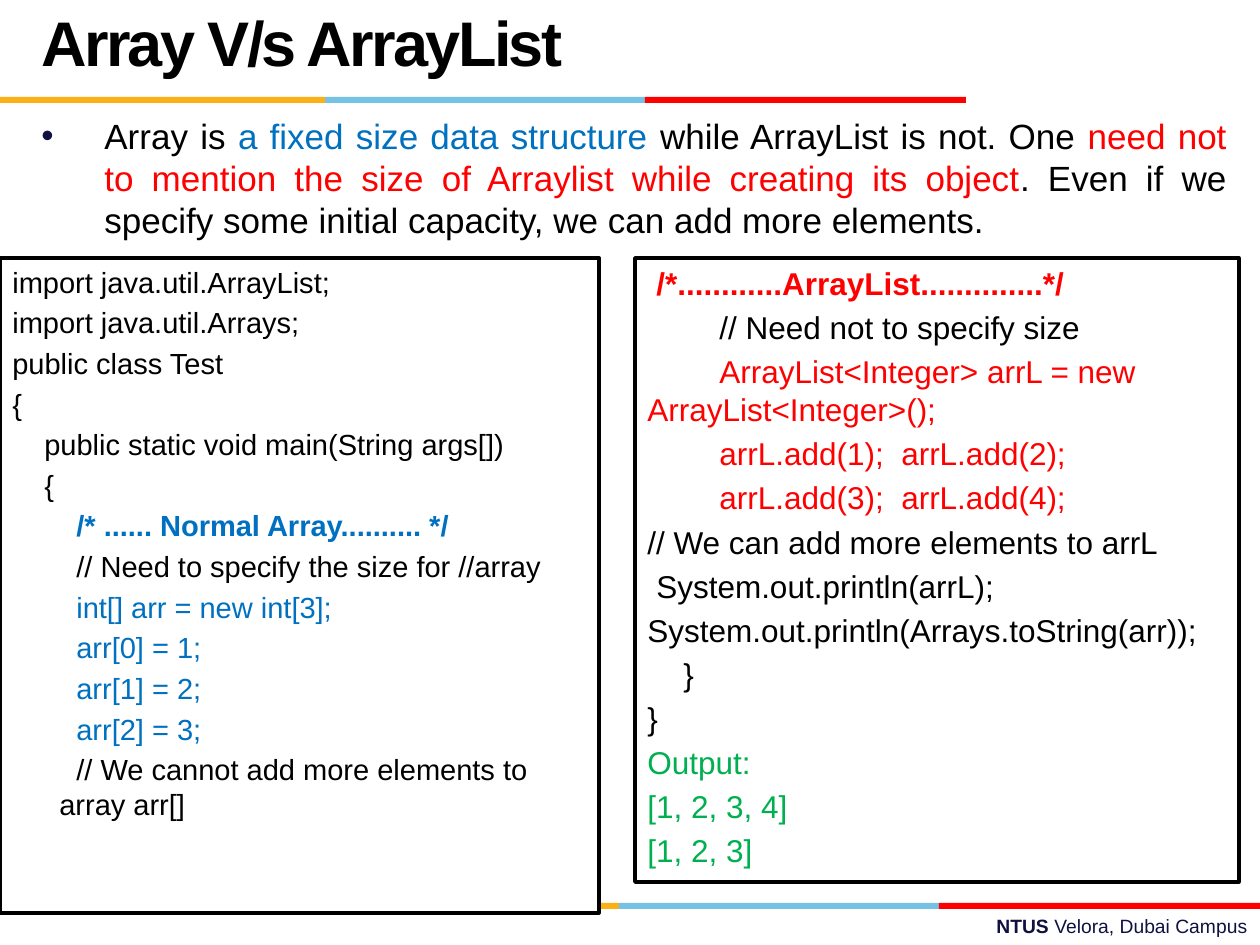
from lxml import etree
from pptx import Presentation
from pptx.dml.color import RGBColor
from pptx.enum.shapes import MSO_SHAPE
from pptx.enum.text import MSO_ANCHOR, PP_ALIGN
from pptx.oxml.ns import qn
from pptx.util import Pt

RECTANGLE = MSO_SHAPE.RECTANGLE
TOP, MIDDLE = MSO_ANCHOR.TOP, MSO_ANCHOR.MIDDLE
LEFT, RIGHT, JUSTIFY = PP_ALIGN.LEFT, PP_ALIGN.RIGHT, PP_ALIGN.JUSTIFY
EMU_PER_PIXEL = 914400 / 126
COLORS = {
    "black": "000000", "white": "FFFFFF", "navy": "101141", "red": "FF0000",
    "blue": "0070C0", "green": "00B050", "amber": "FCB017", "sky": "76C2E5",
}


def px(pixels):
    return round(pixels * EMU_PER_PIXEL)


def rgb(name):
    return RGBColor.from_string(COLORS[name])


def add_text(paragraph, text, size, color="black", bold=False, spacing=None):
    run = paragraph.add_run()
    run.text = text
    run.font.name = "Arial"
    run.font.size = Pt(size)
    run.font.bold = bold
    run.font.color.rgb = rgb(color)
    if spacing is not None:
        run.font._element.set("spc", str(round(spacing * 100)))


class CampusSlide:
    """Draws the elements of one campus slide in its house style."""

    def __init__(self, deck):
        self.slide = deck.slides.add_slide(deck.slide_layouts[6])
        self.shapes = self.slide.shapes

    def box(self, left, top, width, height, fill, line=None):
        box = self.shapes.add_shape(RECTANGLE, px(left), px(top), px(width), px(height))
        box.shadow.inherit = False
        box.fill.solid()
        box.fill.fore_color.rgb = rgb(fill)
        if line:
            box.line.color.rgb = rgb(line)
            box.line.width = Pt(2)
        else:
            box.line.fill.background()
        return box

    def band(self, left, top):
        for color, width in (("amber", 325), ("sky", 320), ("red", 321)):
            self.box(left, top, width, 6, color)
            left += width

    def text(self, left, top, width, height, runs, size, align=LEFT, anchor=TOP, spacing=None):
        frame = self.shapes.add_textbox(px(left), px(top), px(width), px(height)).text_frame
        frame.word_wrap = True
        frame.vertical_anchor = anchor
        paragraph = frame.paragraphs[0]
        paragraph.alignment = align
        for words, color, bold in runs:
            add_text(paragraph, words, size, color, bold, spacing)
        return paragraph

    def bullet(self, paragraph, indent, color):
        properties = paragraph._p.get_or_add_pPr()
        properties.set("marL", str(px(indent)))
        properties.set("indent", str(-px(indent)))
        bullet_color = etree.SubElement(properties, qn("a:buClr"))
        etree.SubElement(bullet_color, qn("a:srgbClr")).set("val", COLORS[color])
        etree.SubElement(properties, qn("a:buFont")).set("typeface", "Arial")
        etree.SubElement(properties, qn("a:buChar")).set("char", "•")

    def code(self, left, top, width, height, lines, size, step, hanging=0):
        frame = self.box(left, top, width, height, "white", "black").text_frame
        frame.word_wrap = True
        frame.vertical_anchor = TOP
        for number, (level, words, color, bold) in enumerate(lines):
            paragraph = frame.add_paragraph() if number else frame.paragraphs[0]
            paragraph.alignment = LEFT
            paragraph.space_before = Pt(round(size * 0.2, 1))
            properties = paragraph._p.get_or_add_pPr()
            properties.set("marL", str(px(hanging)))
            properties.set("indent", str(px(level * step - hanging)))
            add_text(paragraph, words, size, color, bold)


ARRAY_CODE = [
    (0, "import java.util.ArrayList;", "black", False),
    (0, "import java.util.Arrays;", "black", False),
    (0, "public class Test", "black", False),
    (0, "{", "black", False),
    (4, "public static void main(String args[])", "black", False),
    (4, "{", "black", False),
    (8, "/* ...... Normal Array.......... */", "blue", True),
    (8, "// Need to specify the size for //array", "black", False),
    (8, "int[] arr = new int[3];", "blue", False),
    (8, "arr[0] = 1;", "blue", False),
    (8, "arr[1] = 2;", "blue", False),
    (8, "arr[2] = 3;", "blue", False),
    (8, "// We cannot add more elements to array arr[]", "black", False),
]
ARRAY_LIST_CODE = [
    (1, "/*............ArrayList..............*/", "red", True),
    (8, "// Need not to specify size", "black", False),
    (8, "ArrayList<Integer> arrL = new ArrayList<Integer>();", "red", False),
    (8, "arrL.add(1);  arrL.add(2);", "red", False),
    (8, "arrL.add(3);  arrL.add(4);", "red", False),
    (0, "// We can add more elements to arrL", "black", False),
    (1, "System.out.println(arrL);", "black", False),
    (0, "System.out.println(Arrays.toString(arr));", "black", False),
    (4, "}", "black", False),
    (0, "}", "black", False),
    (0, "Output:", "green", False),
    (0, "[1, 2, 3, 4]", "green", False),
    (0, "[1, 2, 3]", "green", False),
]
SUMMARY = [
    ("Array is ", "black", False),
    ("a fixed size data structure ", "blue", False),
    ("while ArrayList is not. One ", "black", False),
    ("need not to mention the size of Arraylist while creating its object", "red", False),
    (". Even if we specify some initial capacity, we can add more elements.", "black", False),
]
CAMPUS = [("NTUS ", "navy", True), ("Velora, Dubai Campus", "navy", False)]

deck = Presentation()
deck.slide_width, deck.slide_height = px(1260), px(945)
page = CampusSlide(deck)
page.text(451, 908, 809, 37, CAMPUS, 11, RIGHT)
page.band(294, 903)
page.band(0, 97)
summary = page.text(29, 108, 1210, 786, SUMMARY, 20, JUSTIFY)
summary.space_before = Pt(4)
page.bullet(summary, 63, "navy")
title = page.text(29, 5, 872, 86, [("Array V/s ArrayList", "black", True)], 36,
                  anchor=MIDDLE, spacing=-1.5)
title.line_spacing = Pt(36)
page.code(0, 258, 599, 655, ARRAY_CODE, 16.6, step=8, hanging=47)
page.code(635, 258, 604, 624, ARRAY_LIST_CODE, 18, step=9, hanging=0)
deck.save("out.pptx")
